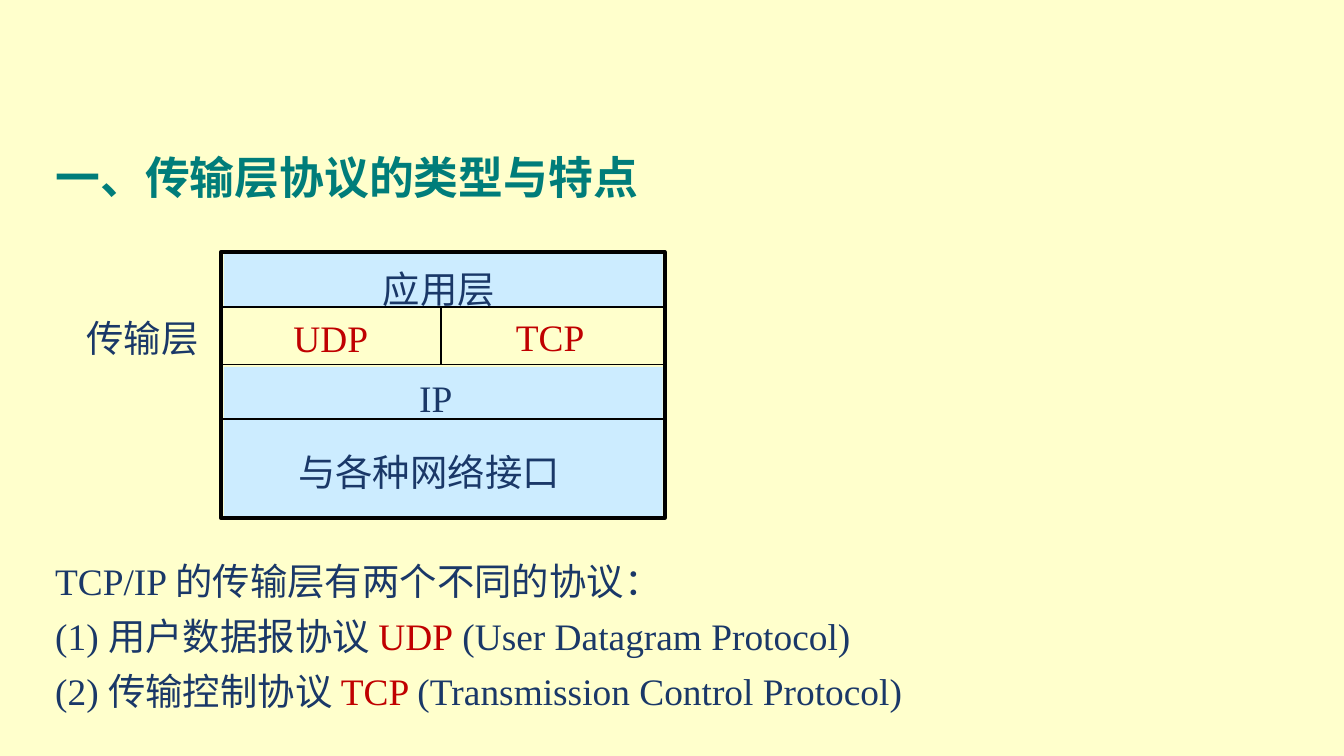
"""Build the slide on transport layer protocols, on a grid of tenths of an inch."""
from dataclasses import dataclass
from typing import Optional

from lxml import etree
from pptx import Presentation
from pptx.dml.color import RGBColor
from pptx.enum import shapes, text
from pptx.oxml.ns import qn
from pptx import util as u

COLOURS = {"cream": "FFFFCC", "sky": "CCECFF", "black": "000000",
           "teal": "007D7A", "navy": "1A3868", "red": "C00000"}
FONT = "Times New Roman"
COLUMNS, ROWS = 100, 56.25
STACK_LEFT, STACK_RIGHT, STACK_TOP, STACK_BOTTOM = 16.43, 49.47, 18.75, 38.54
TRANSPORT_TOP, TRANSPORT_BOTTOM, IP_BOTTOM, SPLIT = 22.86, 27.12, 31.2, 32.8


@dataclass(frozen=True)
class Area:
    """Left and top column and row, with width and height."""
    left: float
    top: float
    width: float
    height: float


@dataclass(frozen=True)
class Label:
    """A one-line text with its place and format."""
    words: str
    area: Area
    colour: str = "navy"
    fill: Optional[str] = None
    wrap: bool = False


@dataclass(frozen=True)
class Rule:
    """A thin line between two grid points."""
    x1: float
    y1: float
    x2: float
    y2: float


def grid(steps: float) -> int:
    """Turn grid steps into a length."""
    return u.Inches(steps / 10)


def rgb(name: str) -> RGBColor:
    """Look up a named colour."""
    return RGBColor.from_string(COLOURS[name])


def place(area: Area) -> tuple:
    """Give an area as four lengths."""
    return tuple(grid(n) for n in (area.left, area.top, area.width, area.height))


def add_block(page, area: Area, fill: str, line: float = 0) -> None:
    """Draw a filled rectangle, with a black outline if line is set."""
    block = page.shapes.add_shape(shapes.MSO_SHAPE.RECTANGLE, *place(area))
    block.shadow.inherit = False
    block.fill.solid()
    block.fill.fore_color.rgb = rgb(fill)
    if line:
        block.line.color.rgb = rgb("black")
        block.line.width = u.Pt(line)
    else:
        block.line.fill.background()


def add_rule(page, rule: Rule) -> None:
    """Draw a thin black line."""
    line = page.shapes.add_connector(
        shapes.MSO_CONNECTOR.STRAIGHT,
        *(grid(n) for n in (rule.x1, rule.y1, rule.x2, rule.y2)))
    line.line.color.rgb = rgb("black")
    line.line.width = u.Pt(1)
    etree.SubElement(line._element.spPr, qn("a:effectLst"))


def add_text(page, area: Area, paras: list, *, size: float = 20, bold: bool = False,
             wrap: bool = True, anchor=text.MSO_ANCHOR.TOP, fill: Optional[str] = None,
             leading: float = 1, gap: float = 0, hang: float = 0) -> None:
    """Write paragraphs, each a list of (words, colour) pairs."""
    box = page.shapes.add_textbox(*place(area))
    if fill:
        box.fill.solid()
        box.fill.fore_color.rgb = rgb(fill)
    frame = box.text_frame
    frame.word_wrap = wrap
    frame.vertical_anchor = anchor
    for index, spans in enumerate(paras):
        para = frame.add_paragraph() if index else frame.paragraphs[0]
        para.line_spacing = leading
        para.space_before = para.space_after = u.Pt(gap)
        if hang:
            properties = para._p.get_or_add_pPr()
            properties.set("marL", str(grid(hang)))
            properties.set("indent", str(-grid(hang)))
        for words, colour in spans:
            span = para.add_run()
            span.text = words
            span.font.name = FONT
            span.font.size = u.Pt(size)
            span.font.bold = bold
            span.font.color.rgb = rgb(colour)


BANDS = [Area(16.65, 18.9, 32.65, 3.9), Area(16.65, 27.3, 32.65, 11.1)]
RULES = [Rule(STACK_LEFT, row, STACK_RIGHT, row)
         for row in (TRANSPORT_TOP, TRANSPORT_BOTTOM, IP_BOTTOM)]
RULES.append(Rule(SPLIT, TRANSPORT_TOP, SPLIT, TRANSPORT_BOTTOM))
LABELS = [
    Label("TCP", Area(37.4, 22.9, 7.2, 4.3), "red"),
    Label("UDP", Area(20.85, 22.95, 7.6, 4.3), "red"),
    Label("IP", Area(30.2, 27.4, 4.7, 4.3), fill="sky"),
    Label("应用层", Area(27.5, 19.3, 10.4, 4.3)),
    Label("与各种网络接口", Area(21.2, 32.9, 25.2, 4.3), wrap=True),
    Label("传输层", Area(5.45, 22.95, 16, 4.4), wrap=True),
]
PROTOCOLS = [
    [("TCP/IP 的传输层有两个不同的协议：", "navy")],
    [("(1) 用户数据报协议 ", "navy"), ("UDP", "red"),
     (" (User Datagram Protocol)", "navy")],
    [("(2) 传输控制协议 ", "navy"), ("TCP ", "red"),
     ("(Transmission Control Protocol)", "navy")],
]


def build() -> None:
    """Draw the slide and save the deck."""
    deck = Presentation()
    deck.slide_width, deck.slide_height = grid(COLUMNS), grid(ROWS)
    page = deck.slides.add_slide(deck.slide_layouts[6])
    page.background.fill.solid()
    page.background.fill.fore_color.rgb = rgb("cream")
    add_text(page, Area(3.15, 9.55, 84.8, 6.1), [[("一、传输层协议的类型与特点", "teal")]],
             size=24, bold=True, anchor=text.MSO_ANCHOR.BOTTOM)
    add_block(page, Area(STACK_LEFT, STACK_TOP, STACK_RIGHT - STACK_LEFT,
                         STACK_BOTTOM - STACK_TOP), "cream", line=2)
    for band in BANDS:
        add_block(page, band, "sky")
    for label in LABELS:
        add_text(page, label.area, [[(label.words, label.colour)]],
                 wrap=label.wrap, fill=label.fill)
    for rule in RULES:
        add_rule(page, rule)
    add_text(page, Area(3.12, 41.4, 69.5, 12.4), PROTOCOLS,
             leading=0.9, gap=4, hang=3.8)
    deck.save("out.pptx")


build()
